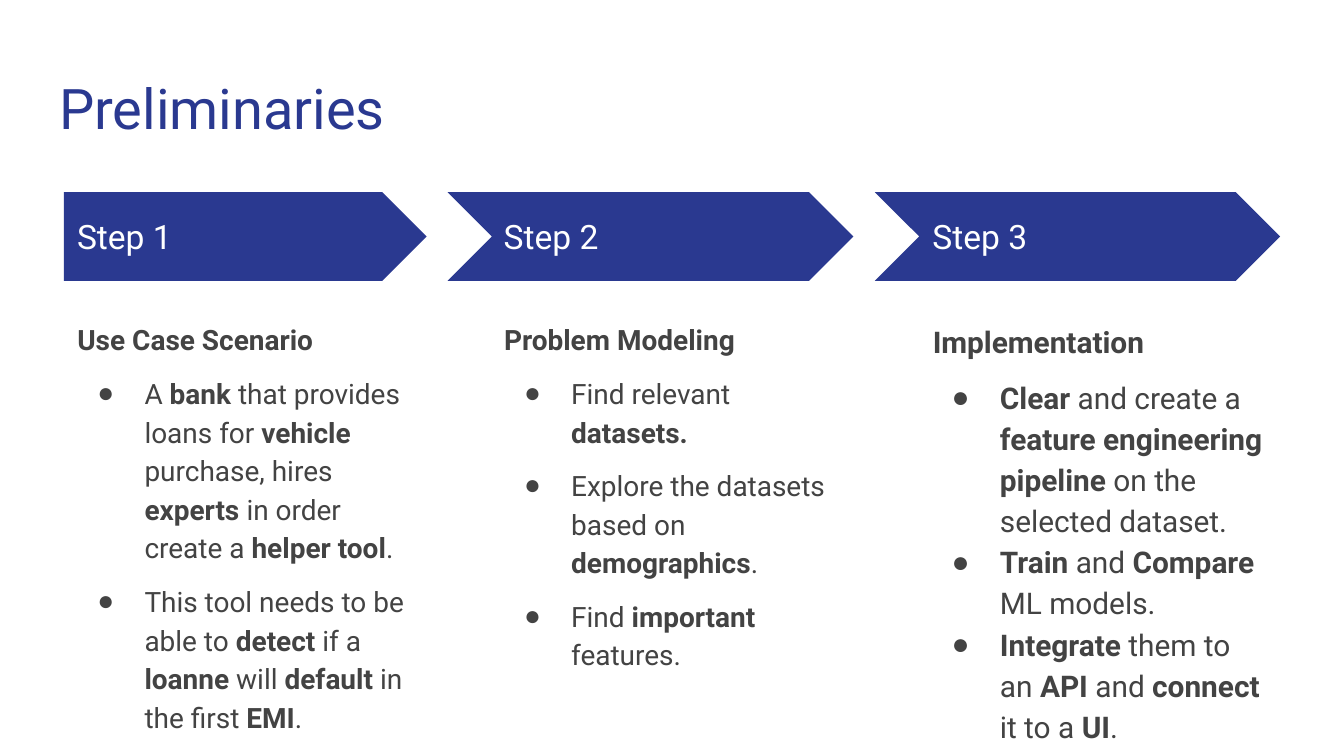
import pptx
import pptx.dml.color
import pptx.enum.shapes
import pptx.enum.text
import pptx.oxml
import pptx.oxml.ns
import pptx.util

SCALE = 4572
BLUE, GREY, WHITE = "2A3990", "434343", "FFFFFF"
MSO = pptx.enum.shapes.MSO_SHAPE
ANCHOR = pptx.enum.text.MSO_ANCHOR

STEPS = [
    {
        "left": 95, "arrow": (MSO.PENTAGON, 95, 540), "size": 15, "holder": 2,
        "hang": 70, "gap": 8, "height": 580, "heading": "Use Case Scenario",
        "items": [
            "A *bank* that provides loans for *vehicle* purchase, hires "
            "*experts* in order create a *helper tool*.",
            "This tool needs to be able to *detect* if a *loanne* will "
            "*default* in the first *EMI*.",
        ],
    },
    {
        "left": 730, "arrow": (MSO.CHEVRON, 666, 604), "size": 15, "holder": 4,
        "hang": 70, "gap": 8, "height": 660, "heading": "Problem Modeling",
        "items": [
            "Find relevant *datasets.*",
            "Explore the datasets based on *demographics*.",
            "Find *important* features.",
        ],
    },
    {
        "left": 1368, "arrow": (MSO.CHEVRON, 1302, 603), "size": 16, "holder": 1,
        "hang": 72, "gap": 0, "height": 580, "heading": "Implementation",
        "items": [
            "*Clear* and create a *feature engineering pipeline* on the "
            "selected dataset.",
            "*Train* and *Compare* ML models.",
            "*Integrate* them to an *API *and *connect* it to a *UI*.",
        ],
    },
]


def px(n):
    return pptx.util.Emu(n * SCALE)


def color(value):
    return pptx.dml.color.RGBColor.from_string(value)


class Deck:
    """Holds the text style and the current slide, and adds each kind of element."""

    def __init__(self, width, height, font):
        self.prs = pptx.Presentation()
        self.prs.slide_width, self.prs.slide_height = px(width), px(height)
        self.font = font

    def new_slide(self, layout):
        self.s = self.prs.slides.add_slide(self.prs.slide_layouts[layout])

    def frame(self, sp, box, anchor):
        sp.left, sp.top, sp.width, sp.height = map(px, box)
        tf = sp.text_frame
        tf.word_wrap = True
        tf.auto_size = pptx.enum.text.MSO_AUTO_SIZE.NONE
        tf.vertical_anchor = anchor
        tf.margin_left = tf.margin_right = tf.margin_top = tf.margin_bottom = px(20)
        return tf

    def style(self, p, size, fill, bold=False):
        p.alignment = pptx.enum.text.PP_ALIGN.LEFT
        for r in p.runs:
            r.font.name, r.font.size = self.font, pptx.util.Pt(size)
            r.font.bold = bold
            r.font.color.rgb = color(fill)

    def title(self, text, box):
        tf = self.frame(self.s.shapes.title, box, ANCHOR.TOP)
        tf.text = text
        self.style(tf.paragraphs[0], 30, BLUE)

    def label(self, text, box):
        sp = self.s.shapes.add_textbox(0, 0, 0, 0)
        tf = self.frame(sp, box, ANCHOR.MIDDLE)
        tf.text = text
        self.style(tf.paragraphs[0], 18, WHITE)

    def arrow(self, kind, box):
        sp = self.s.shapes.add_shape(kind, *map(px, box))
        sp.shadow.inherit = False
        sp.fill.solid()
        sp.fill.fore_color.rgb = color(BLUE)
        sp.line.fill.background()

    def marker(self, p, left, hang, *tags):
        pPr = p._p.get_or_add_pPr()
        pPr.set("marL", str(px(left)))
        pPr.set("indent", str(px(-hang)))
        ns = pptx.oxml.ns.nsdecls("a")
        for tag in tags:
            pPr.append(pptx.oxml.parse_xml(tag.format(ns=ns)))

    def list(self, holder, box, heading, items, size, hang, gap):
        tf = self.frame(self.s.placeholders[holder], box, ANCHOR.TOP)
        tf.text = heading
        p = tf.paragraphs[0]
        p.line_spacing, p.space_before = 1.15, pptx.util.Pt(0)
        self.style(p, size, GREY, True)
        self.marker(p, 0, 0, "<a:buNone {ns}/>")
        for i, item in enumerate(items):
            p = tf.add_paragraph()
            p.line_spacing = 1.15
            p.space_before = pptx.util.Pt(gap if i else 8)
            for part in item.split("*"):
                p.add_run().text = part
            self.style(p, size, GREY)
            for r in p.runs[1::2]:
                r.font.bold = True
            for r in p.runs:
                if not r.text:
                    p._p.remove(r._r)
            self.marker(
                p, 100, hang,
                f'<a:buClr {{ns}}><a:srgbClr val="{GREY}"/></a:buClr>',
                '<a:buFont {ns} typeface="Arial"/>',
                '<a:buChar {ns} char="●"/>',
            )

    def drop_empty(self):
        for sp in list(self.s.placeholders):
            if not sp.text_frame.text:
                sp.element.getparent().remove(sp.element)


def main():
    deck = Deck(2000, 1125, "Roboto")
    deck.new_slide(4)
    deck.title("Preliminaries", (68, 90, 1864, 132))
    for n, step in enumerate(STEPS, 1):
        kind, left, width = step["arrow"]
        deck.arrow(kind, (left, 286, width, 132))
        deck.label(f"Step {n}", (step["left"], 318, 494, 68))
        deck.list(step["holder"], (step["left"], 453, 540, step["height"]),
                  step["heading"], step["items"], step["size"], step["hang"], step["gap"])
    deck.drop_empty()
    deck.prs.save("out.pptx")


if __name__ == "__main__":
    main()
